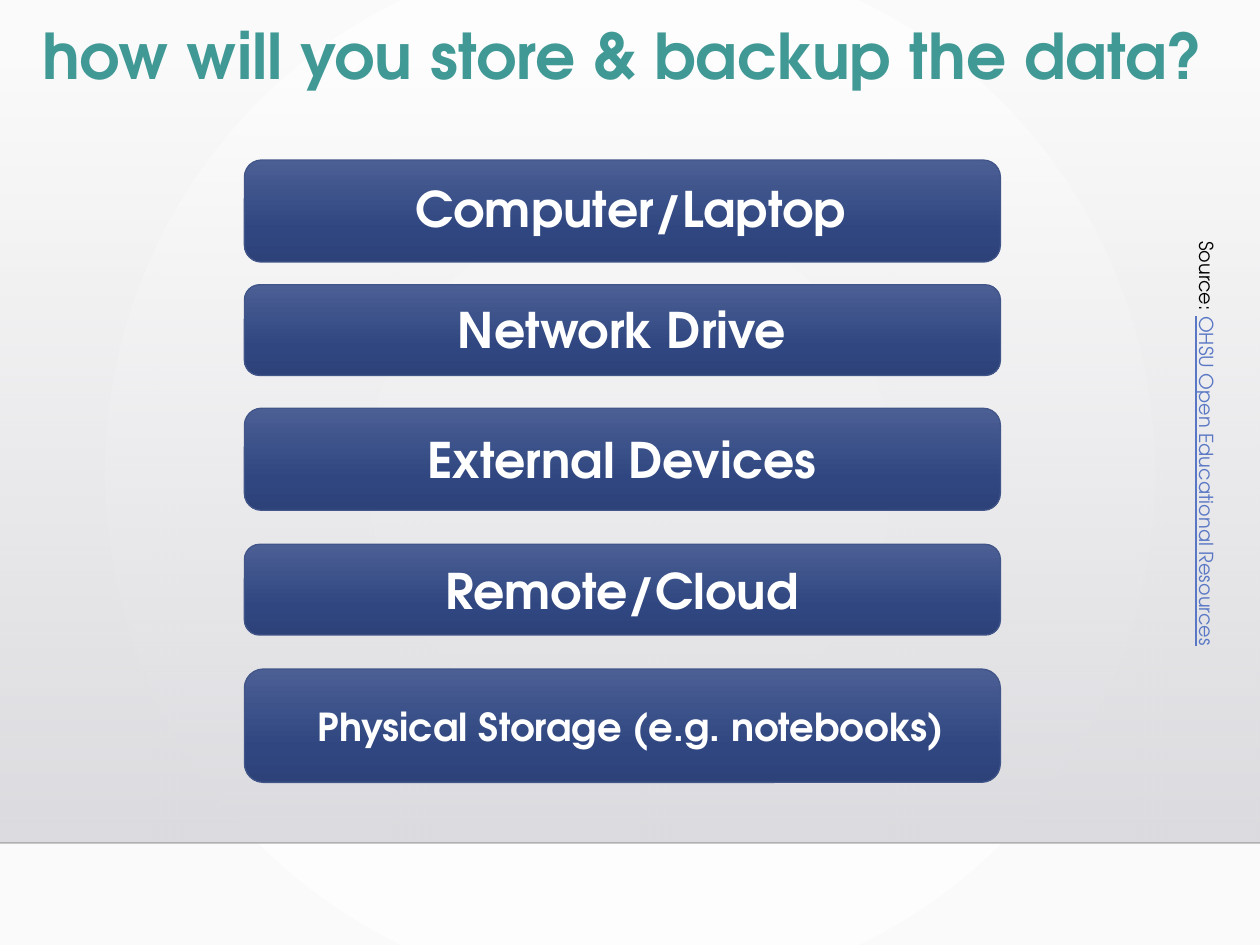
"""Build the slide on how to store and back up the data."""
from lxml import etree
from pptx import Presentation
from pptx.dml.color import RGBColor
from pptx.enum.shapes import MSO_CONNECTOR, MSO_SHAPE
from pptx.enum.text import MSO_ANCHOR, PP_ALIGN
from pptx.oxml.ns import qn
from pptx.util import Inches, Pt

RECTANGLE, ROUNDED = MSO_SHAPE.RECTANGLE, MSO_SHAPE.ROUNDED_RECTANGLE
STRAIGHT = MSO_CONNECTOR.STRAIGHT
CENTER, LEFT, TOP = PP_ALIGN.CENTER, PP_ALIGN.LEFT, MSO_ANCHOR.TOP

FONT = "TeX Gyre Adventor"
TITLE = "how will you store & backup the data?"
SOURCE = [("Source: ", {}, "000000"),
          ("OHSU Open Educational Resources", {"underline": True}, "5977C4")]
OPTIONS = [
    ("Computer/Laptop", 28, 1.27, 0.81, 2.32, 1.37),
    ("Network Drive", 28, 2.26, 0.72, 2.25, 2.33),
    ("External Devices", 28, 3.24, 0.81, 2.25, 3.36),
    ("Remote/Cloud", 28, 4.32, 0.72, 2.25, 4.40),
    ("Physical Storage (e.g. notebooks)", 22, 5.31, 0.90, 2.32, 5.53),
]
BAR_LEFT, BAR_WIDTH, LABEL_WIDTH = 1.94, 6, 5.37
BAND_TOP, BAND_BOTTOM = 0.51, 6.69
BACKDROP_STOPS = [(0, "FFFFFF", 100), (100, "FAFAFA", 100)]
BAND_STOPS = [(0, "DCDCE0", 0), (100, "DEDEE2", 100)]
BAR_STOPS = [(0, "4C5F95", 100), (69, "2F4680", 100), (100, "2D4279", 100)]


def rgb(value):
    return RGBColor.from_string(value)


def add_alpha(color, percent):
    etree.SubElement(color, qn("a:alpha"), val=str(percent * 1000))


def apply_gradient(fill, owner, stops, circular=False):
    fill.gradient()
    gradient = owner.find(".//" + qn("a:gradFill"))
    for child in list(gradient):
        gradient.remove(child)
    stop_list = etree.SubElement(gradient, qn("a:gsLst"))
    for position, value, opacity in stops:
        stop = etree.SubElement(stop_list, qn("a:gs"), pos=str(position * 1000))
        color = etree.SubElement(stop, qn("a:srgbClr"), val=value)
        if opacity < 100:
            add_alpha(color, opacity)
    if circular:
        circle = etree.SubElement(gradient, qn("a:path"), path="circle")
        sides = dict.fromkeys("ltrb", "50000")
        etree.SubElement(circle, qn("a:fillToRect"), **sides)
    else:
        etree.SubElement(gradient, qn("a:lin"), ang="5400000", scaled="0")


def add_panel(slide, kind, place, stops):
    panel = slide.shapes.add_shape(kind, *map(Inches, place))
    panel.shadow.inherit = False
    apply_gradient(panel.fill, panel._element.spPr, stops)
    return panel


def add_text(slide, place, runs, size, align=CENTER, spacing=1.0, **style):
    box = slide.shapes.add_textbox(*map(Inches, place))
    box.text_frame.word_wrap = True
    box.text_frame.vertical_anchor = TOP
    paragraph = box.text_frame.paragraphs[0]
    paragraph.alignment, paragraph.line_spacing = align, spacing
    for words, extra, color in runs:
        run = paragraph.add_run()
        run.text = words
        formats = {"name": FONT, "size": Pt(size), **style, **extra}
        for attribute, value in formats.items():
            setattr(run.font, attribute, value)
        run.font.color.rgb = rgb(color)
    return box


def add_horizon(slide):
    horizon = slide.shapes.add_connector(
        STRAIGHT, 0, Inches(BAND_BOTTOM), Inches(10), Inches(BAND_BOTTOM))
    horizon.line.width = Pt(1)
    horizon.line.color.rgb = rgb("000001")
    properties = horizon._element.spPr
    add_alpha(properties.find(".//" + qn("a:srgbClr")), 20)
    etree.SubElement(properties, qn("a:effectLst"))


def main():
    deck = Presentation()
    deck.slide_width, deck.slide_height = Inches(10), Inches(7.5)
    slide = deck.slides.add_slide(deck.slide_layouts[6])
    apply_gradient(slide.background.fill, slide._element, BACKDROP_STOPS, True)

    band = add_panel(slide, RECTANGLE,
                     (0, BAND_TOP, 10, BAND_BOTTOM - BAND_TOP), BAND_STOPS)
    band.line.fill.background()
    add_horizon(slide)
    add_text(slide, (0, 0.15, 9.88, 0.94), [(TITLE, {}, "409995")], 36,
             spacing=0.9, bold=True)

    for label, size, top, height, label_left, label_top in OPTIONS:
        bar = add_panel(slide, ROUNDED, (BAR_LEFT, top, BAR_WIDTH, height), BAR_STOPS)
        bar.line.color.rgb = rgb("415588")
        bar.line.width = Pt(0.75)
        label_height = 0.57 if size == 28 else 0.47
        add_text(slide, (label_left, label_top, LABEL_WIDTH, label_height),
                 [(label, {}, "FFFFFF")], size, bold=True)

    source = add_text(slide, (7.8, 3.52, 3.66, 0.25), SOURCE, 11, LEFT, 1.2)
    source.rotation = 90
    deck.save("out.pptx")


if __name__ == "__main__":
    main()
